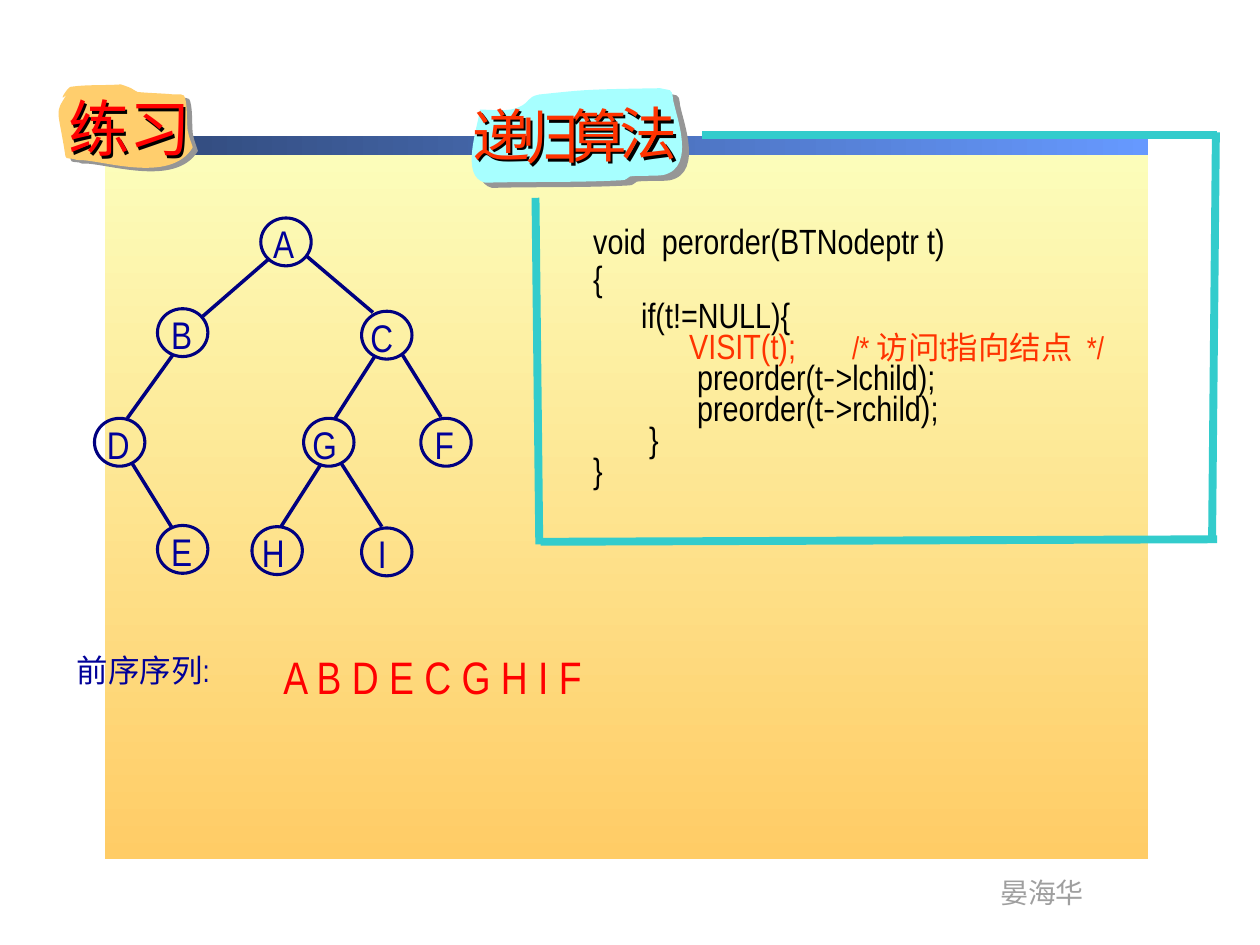
from dataclasses import dataclass

import pptx
import pptx.dml.color
import pptx.enum.shapes
import pptx.enum.text
import pptx.oxml
import pptx.oxml.ns
import pptx.util
from pptx.util import Inches

SHAPES = pptx.enum.shapes.MSO_SHAPE


@dataclass(frozen=True)
class Theme:
    font: str = "Arial Narrow"
    hyphen_font: str = "Noto Sans CJK SC"
    panel: tuple = ("FCFEBC", "FFCC66")
    bar: tuple = ("2F4776", "6699FF")
    tree: str = "000080"
    label: str = "000099"
    red: str = "FF0000"
    orange: str = "FF3300"
    black: str = "000000"
    grey: str = "9F9F9F"
    shadow: str = "969696"
    title_blob: str = "FFCE6D"
    heading_blob: str = "A7FFFF"
    frame: str = "33CCCC"
    title_size: int = 35
    heading_size: int = 33
    answer_size: int = 26
    node_size: int = 22
    code_size: int = 20
    small_size: int = 18
    footer_size: int = 16


THEME = Theme()

# Cubic outlines: start point, then (control, control, end) per curve.
TITLE_BLOB = ((0.53, 0.75), [
    (0.43, 0.91, 0.46, 0.85, 0.52, 1.24), (0.52, 1.27, 0.58, 1.25, 0.61, 1.27),
    (0.79, 1.26, 1.35, 1.47, 1.53, 1.17), (1.52, 1.14, 1.51, 1.11, 1.5, 1.08),
    (1.5, 1.07, 1.49, 1.04, 1.49, 1.04), (1.48, 0.95, 1.49, 0.86, 1.47, 0.78),
    (1.47, 0.74, 1.41, 0.75, 1.38, 0.75), (1.28, 0.74, 1.18, 0.74, 1.09, 0.73),
    (1.07, 0.72, 1.06, 0.71, 1.04, 0.7), (1.02, 0.69, 0.96, 0.67, 0.96, 0.67),
    (0.83, 0.68, 0.69, 0.67, 0.56, 0.69), (0.54, 0.69, 0.45, 0.83, 0.53, 0.75)])
HEADING_BLOB = ((3.81, 0.87), [
    (3.79, 1.02, 3.65, 1.4, 3.85, 1.45), (4.21, 1.44, 4.58, 1.45, 4.94, 1.43),
    (4.97, 1.43, 4.98, 1.41, 5, 1.4), (5.09, 1.39, 5.17, 1.4, 5.26, 1.39),
    (5.55, 1.33, 5.34, 0.86, 5.34, 0.77), (5.33, 0.7, 5.32, 0.72, 5.24, 0.7),
    (4.65, 0.71, 4.66, 0.71, 4.28, 0.75), (4.18, 0.77, 4.21, 0.81, 4.12, 0.85),
    (4.04, 0.89, 3.9, 0.87, 3.81, 0.87)])

# Node letter: left, top, shift of its label.
NODES = {"A": (1.32, 0, 0), "B": (0.5, 0.72, 0.01), "C": (2.12, 0.74, -0.03),
         "D": (0, 1.59, 0), "G": (1.66, 1.59, -0.03), "F": (2.59, 1.59, 0.01),
         "H": (1.25, 2.45, -0.02), "E": (0.5, 2.44, 0.01), "I": (2.12, 2.46, 0.03)}
EDGES = [(1.39, 0.32, 0.86, 0.78), (1.68, 0.3, 2.21, 0.75), (0.62, 1.09, 0.26, 1.59),
         (2.23, 1.09, 1.91, 1.59), (2.44, 1.08, 2.75, 1.58), (0.3, 1.95, 0.61, 2.45),
         (1.96, 1.95, 2.28, 2.45), (1.8, 1.95, 1.48, 2.45)]


def rgb(color):
    return pptx.dml.color.RGBColor.from_string(color)


def add_effects(shape, distance=None, angle=0, color=THEME.shadow):
    """Add an effect list, empty unless a shadow distance in points is given."""
    effects = pptx.oxml.parse_xml(f"<a:effectLst {pptx.oxml.ns.nsdecls('a')}/>")
    if distance:
        effects.append(pptx.oxml.parse_xml(
            f"<a:outerShdw {pptx.oxml.ns.nsdecls('a')} dist='{pptx.util.Pt(distance)}' "
            f"dir='{angle * 60000}' algn='ctr' rotWithShape='0'>"
            f"<a:srgbClr val='{color}'/></a:outerShdw>"))
    shape.element.spPr.append(effects)


def format_run(run, size, color, font=THEME.font):
    run.font.size = pptx.util.Pt(size)
    run.font.name = font
    run.font.color.rgb = rgb(color)


def add_text(slide, box, text, size, color):
    shape = slide.shapes.add_textbox(*map(Inches, box))
    shape.text_frame.word_wrap = True
    shape.text_frame.text = text
    format_run(shape.text_frame.paragraphs[0].runs[0], size, color)
    return shape


def add_line(slide, ends, color, width):
    line = slide.shapes.add_connector(
        pptx.enum.shapes.MSO_CONNECTOR.STRAIGHT, *map(Inches, ends))
    line.line.color.rgb = rgb(color)
    line.line.width = pptx.util.Pt(width)
    add_effects(line)


def add_gradient(slide, box, colors, angle):
    shape = slide.shapes.add_shape(SHAPES.RECTANGLE, *map(Inches, box))
    shape.shadow.inherit = False
    shape.line.fill.background()
    shape.fill.gradient()
    shape.fill.gradient_angle = angle
    for stop, color in zip(shape.fill.gradient_stops, colors):
        stop.color.rgb = rgb(color)


def add_blob(slide, outline, color, distance, angle):
    """Draw the outline's points as segments, then join each three into a curve."""
    start, curves = outline
    points = [(Inches(curve[i]), Inches(curve[i + 1])) for curve in curves for i in (0, 2, 4)]
    builder = slide.shapes.build_freeform(*map(Inches, start))
    builder.add_line_segments(points, close=True)
    shape = builder.convert_to_shape()
    segments = list(shape.element.iter(pptx.oxml.ns.qn("a:lnTo")))
    for index in range(0, len(points), 3):
        curve = pptx.oxml.parse_xml(f"<a:cubicBezTo {pptx.oxml.ns.nsdecls('a')}/>")
        segments[index].addprevious(curve)
        for segment in segments[index:index + 3]:
            curve.append(segment[0])
            segment.getparent().remove(segment)
    shape.fill.solid()
    shape.fill.fore_color.rgb = rgb(color)
    shape.line.fill.background()
    add_effects(shape, distance, angle)


def add_background(slide, left, top, width, height):
    add_gradient(slide, (left, top, width, height), THEME.panel, 270)
    add_gradient(slide, (left + 0.01, top - 0.02, width - 0.01, 0.15), THEME.bar, 0)
    add_text(slide, (left + 7.01, top + 5.8, 0.87, 0.37), "晏海华",
             THEME.footer_size, THEME.grey)


def add_tree(slide, left, top):
    for letter, (x, y, shift) in NODES.items():
        node = slide.shapes.add_shape(
            SHAPES.OVAL, *map(Inches, (left + x, top + y, 0.4, 0.38)))
        node.shadow.inherit = False
        node.fill.background()
        node.line.color.rgb = rgb(THEME.tree)
        node.line.width = pptx.util.Pt(1.75)
        add_text(slide, (left + x + shift, top + y - 0.03, 0.42, 0.47), letter,
                 THEME.node_size, THEME.label)
    for x1, y1, x2, y2 in EDGES:
        add_line(slide, (left + x1, top + y1, left + x2, top + y2), THEME.tree, 2)


def add_title(slide, box):
    add_blob(slide, TITLE_BLOB, THEME.title_blob, 3.6, 34)
    title = slide.shapes.title
    title.left, title.top, title.width, title.height = map(Inches, box)
    title.fill.background()
    frame = title.text_frame
    frame.text = "练习"
    frame.vertical_anchor = pptx.enum.text.MSO_ANCHOR.TOP
    frame.paragraphs[0].alignment = pptx.enum.text.PP_ALIGN.LEFT
    format_run(frame.paragraphs[0].runs[0], THEME.title_size, THEME.red)
    add_effects(title, 2, 45, THEME.black)
    title.element.getparent().append(title.element)  # in front of its blob


def add_code(slide, box):
    black, orange, size = THEME.black, THEME.orange, THEME.code_size

    def call(child):
        return [("             preorder(t", size, black), ("-", size, black, THEME.hyphen_font),
                (f">{child});", size, black)]

    lines = [[("void  perorder(BTNodeptr t)", size, black)], [("{", size, black)],
             [("      if(t!=NULL){", size, black)],
             [("            VISIT(t);       ", size, orange),
              ("/* 访问t指向结点  */", THEME.small_size, orange)],
             call("lchild"), call("rchild"),
             [("       }", size, black)], [("}", size, black)]]
    frame = slide.shapes.add_textbox(*map(Inches, box)).text_frame
    frame.word_wrap = True
    for index, line in enumerate(lines):
        paragraph = frame.add_paragraph() if index else frame.paragraphs[0]
        paragraph.line_spacing = 0.74
        paragraph.space_after = pptx.util.Pt(3.5 if index < 2 else 0)
        for text, *style in line:
            run = paragraph.add_run()
            run.text = text
            format_run(run, *style)


def add_heading(slide, left, top):
    add_blob(slide, HEADING_BLOB, THEME.heading_blob, 5, 37)
    for character, x, y, width in [("算", 0.77, 0, 0.65), ("法", 1.17, -0.01, 0.65),
                                   ("递", 0, 0, 1.01), ("归", 0.39, 0.02, 0.71)]:
        shape = add_text(slide, (left + x, top + y, width, 0.65), character,
                         THEME.heading_size, THEME.orange)
        add_effects(shape, 2, 45, THEME.black)


def add_frame(slide, left, top, right, bottom):
    for ends in [(left, top + 0.5, left + 0.03, bottom + 0.02),
                 (right, bottom - 0.02, left + 0.04, bottom),
                 (right - 0.01, top - 0.02, right - 0.04, bottom - 0.02),
                 (right, top, left + 1.32, top)]:
        add_line(slide, ends, THEME.frame, 4.5)


def main():
    presentation = pptx.Presentation()
    presentation.slide_width, presentation.slide_height = Inches(10), Inches(7.5)
    slide = presentation.slides.add_slide(presentation.slide_layouts[5])
    add_background(slide, 0.83, 1.1, 8.28, 5.72)
    add_tree(slide, 0.75, 1.73)
    add_title(slide, (0.44, 0.67, 1.73, 0.68))
    add_text(slide, (0.51, 5.12, 1.95, 0.5), "前序序列:", THEME.small_size, THEME.label)
    add_text(slide, (2.15, 5.1, 3.41, 0.53), "A B D E C G H I F",
             THEME.answer_size, THEME.red)
    add_code(slide, (4.61, 1.77, 6.14, 2.2))
    add_heading(slide, 3.65, 0.74)
    add_frame(slide, 4.25, 1.07, 9.66, 4.3)
    presentation.save("out.pptx")


if __name__ == "__main__":
    main()
